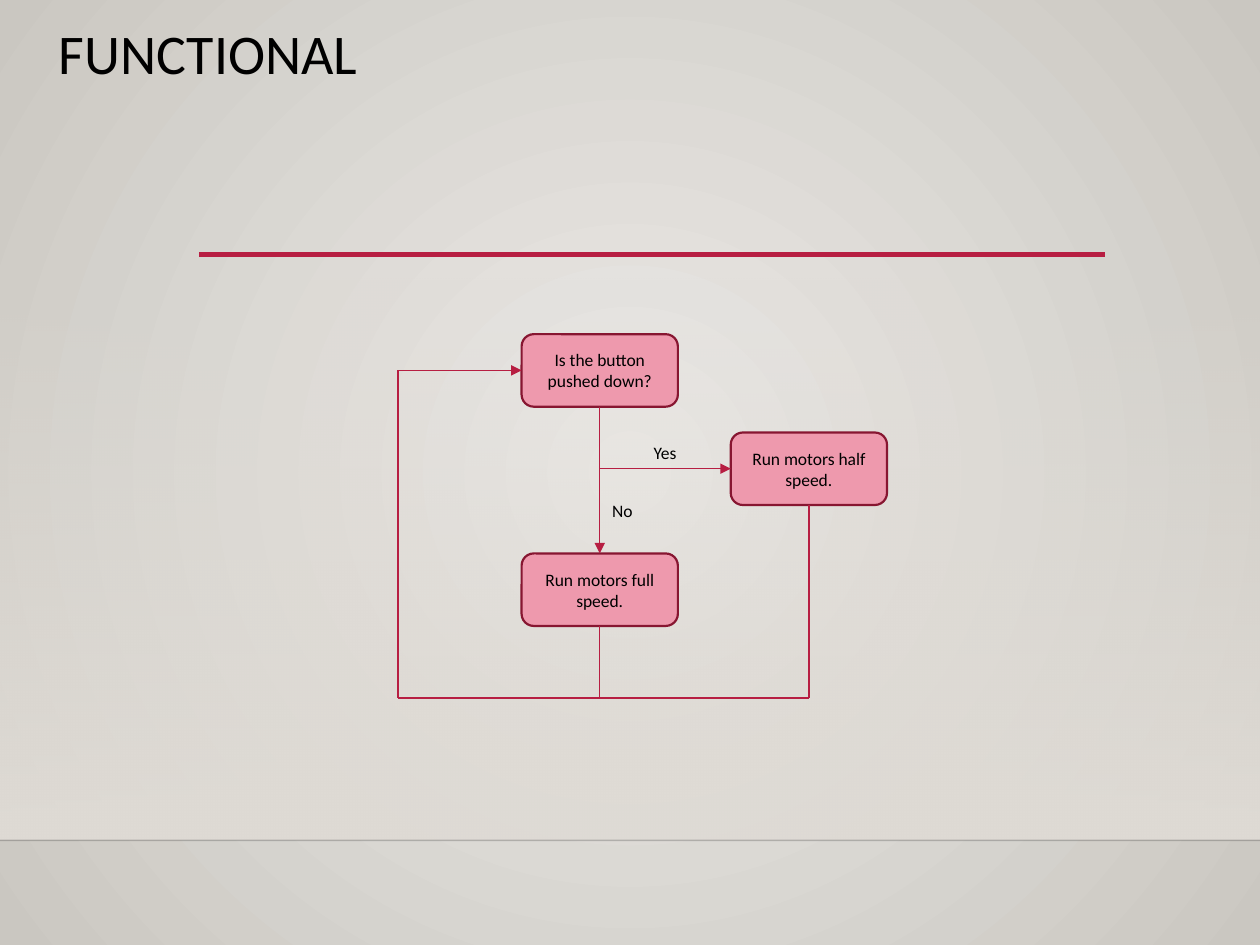
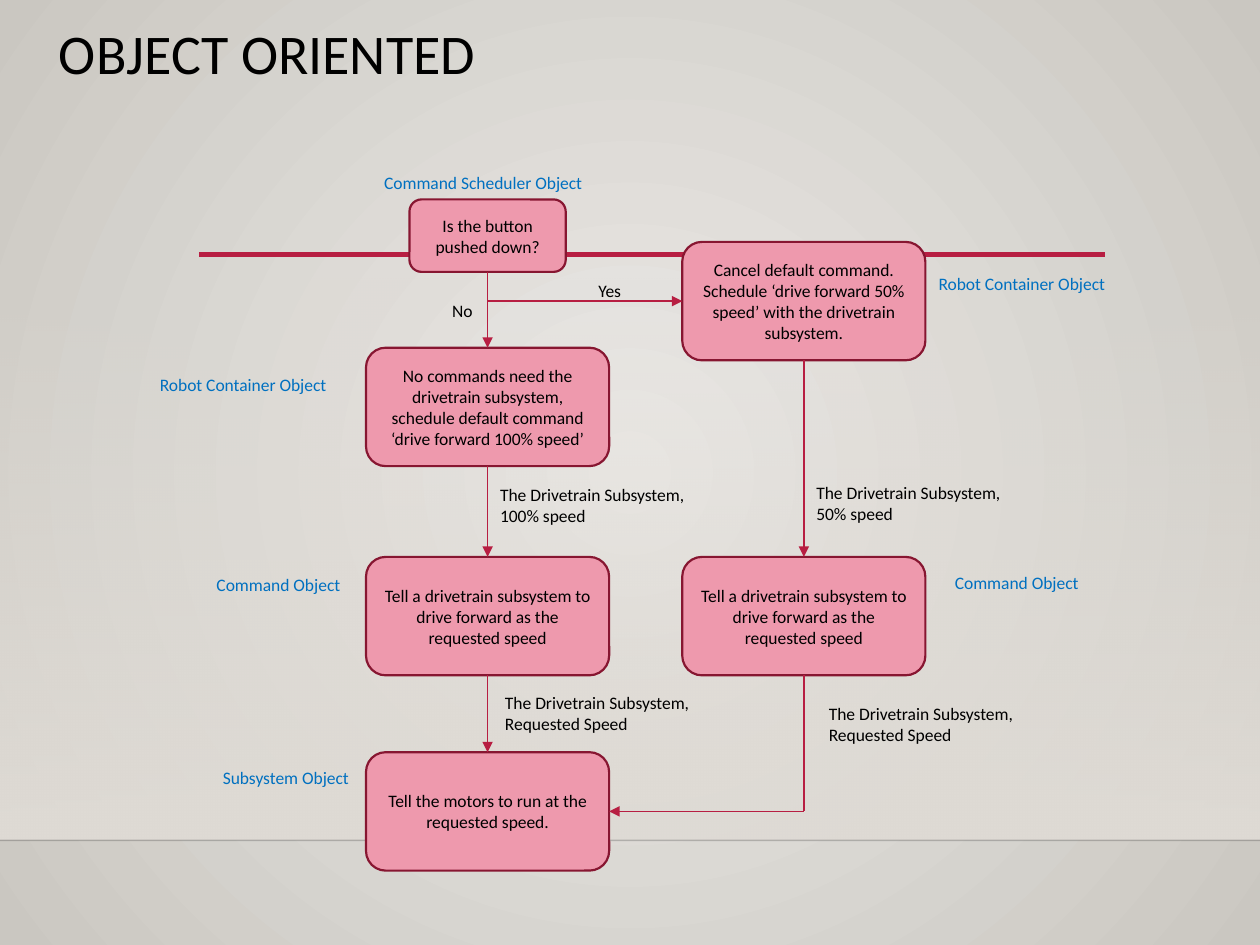
"""Build two flowchart slides that contrast functional and object oriented control."""
from lxml import etree
from pptx import Presentation, util as u
from pptx.dml.color import RGBColor
from pptx.enum import shapes, text
from pptx.oxml import ns

HUES = {"glow": "ECEAE7", "edge": "CAC7C1", "band": "DFDBD5", "rule": "000001", "red": "B71E42",
        "wine": "871631", "pink": "EE99AD", "blue": "0070C0", "black": "000000"}
HUES = {name: RGBColor.from_string(code) for name, code in HUES.items()}
TOP, LEFT, BASE, RIGHT = range(4)
SMALL, LARGE = (12.4, 5.75), (19.3, 9.4)

deck = Presentation()
deck.slide_width, deck.slide_height = u.Inches(10), u.Inches(7.5)
CELL = deck.slide_width // 100


def write(shape, words, size=10, hue="black", align=text.PP_ALIGN.LEFT):
    """Fill a shape with one paragraph."""
    frame = shape.text_frame
    frame.word_wrap = True
    para = frame.paragraphs[0]
    para.text, para.alignment = words, align
    para.font.name, para.font.size = "Calibri", u.Pt(size)
    para.font.color.rgb = HUES[hue]
    return frame


def link(page, start, end, boxes, hue="red", width=0.75, head=False):
    """Draw a line between grid points or (box, side) pairs."""
    spots = [0 if p[0] in boxes else round(n * CELL) for p in (start, end) for n in p]
    line = page.shapes.add_connector(shapes.MSO_CONNECTOR.STRAIGHT, *spots)
    if start[0] in boxes:
        line.begin_connect(boxes[start[0]], start[1])
    if end[0] in boxes:
        line.end_connect(boxes[end[0]], end[1])
    line.line.color.rgb, line.line.width = HUES[hue], u.Pt(width)
    if head:
        etree.SubElement(line.line._get_or_add_ln(), ns.qn("a:tailEnd"), type="triangle")
    etree.SubElement(line._element.spPr, ns.qn("a:effectLst"))
    return line


TELL = "Tell a drivetrain subsystem to drive forward as the requested speed"
ASK = "Is the button pushed down?"
SEND = "The Drivetrain Subsystem, "

PAGES = [
    {"title": "FUNCTIONAL",
     "boxes": {"ask": (47.6, 29.4, SMALL, ASK),
               "full": (47.6, 46.8, SMALL, "Run motors full speed."),
               "half": (64.2, 37.2, SMALL, "Run motors half speed.")},
     "lines": [(("ask", BASE), ("full", TOP), True),
               ((47.6, 37.2), ("half", LEFT), True),
               ((31.6, 29.4), ("ask", LEFT), True),
               ((31.6, 29.4), (31.6, 55.4), False),
               (("full", BASE), (47.6, 55.4), False),
               (("half", BASE), (64.2, 55.4), False),
               ((31.6, 55.4), (64.2, 55.4), False)],
     "notes": [(47.6, 39.2, 3.9, 1, "No"), (50.9, 34.6, 4.7, 1, "Yes")]},
    {"title": "OBJECT ORIENTED",
     "boxes": {"ask": (38.7, 18.7, SMALL, ASK),
               "full": (38.7, 32.3, LARGE, "No commands need the drivetrain subsystem, "
                        "schedule default command ‘drive forward 100% speed’"),
               "half": (63.8, 23.9, LARGE, "Cancel default command. Schedule "
                        "‘drive forward 50% speed’ with the drivetrain subsystem."),
               "tell": (38.7, 48.9, LARGE, TELL),
               "tell half": (63.8, 48.9, LARGE, TELL),
               "run": (38.7, 64.4, LARGE, "Tell the motors to run at the requested speed.")},
     "lines": [(("ask", BASE), ("full", TOP), True),
               ((38.7, 23.9), ("half", LEFT), True),
               (("full", BASE), ("tell", TOP), True),
               (("half", BASE), ("tell half", TOP), True),
               (("tell", BASE), ("run", TOP), True),
               (("tell half", BASE), (63.8, 64.4), False),
               ((63.8, 64.4), ("run", RIGHT), True)],
     "notes": [(34.9, 23.3, 3.9, 1, "No"), (46.5, 21.7, 5.3, 1, "Yes"),
               (38.7, 37.9, 18.1, 2, SEND + "100% speed"),
               (63.8, 37.8, 18.1, 2, SEND + "50% speed"),
               (39.1, 54.4, 19, 2, SEND + "Requested Speed"),
               (64.8, 55.3, 19, 2, SEND + "Requested Speed"),
               (29.5, 13.2, 21.5, 1, "Command Scheduler Object"),
               (11.7, 29.2, 16.9, 1, "Robot Container Object"),
               (73.5, 21.2, 16.9, 1, "Robot Container Object"),
               (16.2, 45.1, 12.4, 1, "Command Object"),
               (74.8, 44.9, 12.4, 1, "Command Object"),
               (16.7, 60.4, 12.4, 1, "Subsystem Object")]},
]

for plan in PAGES:
    page = deck.slides.add_slide(deck.slide_layouts[6])

    back = page.background.fill
    back.gradient()
    for stop, hue, place in zip(back.gradient_stops, ("glow", "edge"), (0, 1)):
        stop.color.rgb, stop.position = HUES[hue], place
    slant = page.element.find(".//" + ns.qn("a:lin"))
    ring = etree.Element(ns.qn("a:path"), path="circle")
    etree.SubElement(ring, ns.qn("a:fillToRect"), {side: "50000" for side in "ltrb"})
    slant.getparent().replace(slant, ring)

    band = page.shapes.add_shape(shapes.MSO_SHAPE.RECTANGLE, 0, 22 * CELL,
                                 deck.slide_width, round(44.6 * CELL))
    band.shadow.inherit = False
    band.line.fill.background()
    band.fill.gradient()
    band.fill.gradient_angle = 270
    for stop, place in zip(band.fill.gradient_stops, (0, 1)):
        stop.color.rgb, stop.position = HUES["band"], place
    clear = band._element.spPr.find(".//" + ns.qn("a:srgbClr"))
    etree.SubElement(clear, ns.qn("a:alpha"), val="0")

    floor = link(page, (0, 66.7), (100, 66.7), {}, "rule", 1)
    faint = floor._element.spPr.find(".//" + ns.qn("a:srgbClr"))
    etree.SubElement(faint, ns.qn("a:alpha"), val="20000")
    link(page, (15.8, 20.2), (87.7, 20.2), {}, "red", 2.5)

    title = page.shapes.add_textbox(*(round(n * CELL) for n in (3.7, 1.6, 43.4, 6.8)))
    write(title, plan["title"], 32).paragraphs[0].line_spacing = 0.9

    boxes = {}
    for name, (mid, row, (wide, high), words) in plan["boxes"].items():
        area = (mid - wide / 2, row - high / 2, wide, high)
        box = page.shapes.add_shape(shapes.MSO_SHAPE.ROUNDED_RECTANGLE,
                                    *(round(n * CELL) for n in area))
        box.shadow.inherit = False
        box.fill.solid()
        box.fill.fore_color.rgb = HUES["pink"]
        box.line.color.rgb, box.line.width = HUES["wine"], u.Pt(1.25)
        frame = write(box, words, align=text.PP_ALIGN.CENTER)
        frame.vertical_anchor = text.MSO_ANCHOR.MIDDLE
        boxes[name] = box

    for start, end, head in plan["lines"]:
        link(page, start, end, boxes, head=head)

    for left, top, wide, rows, words in plan["notes"]:
        area = (left, top, wide, 1 + 1.7 * rows)
        note = page.shapes.add_textbox(*(round(n * CELL) for n in area))
        frame = write(note, words, hue="blue" if words.endswith("Object") else "black")
        frame.auto_size = text.MSO_AUTO_SIZE.SHAPE_TO_FIT_TEXT

deck.save("out.pptx")
